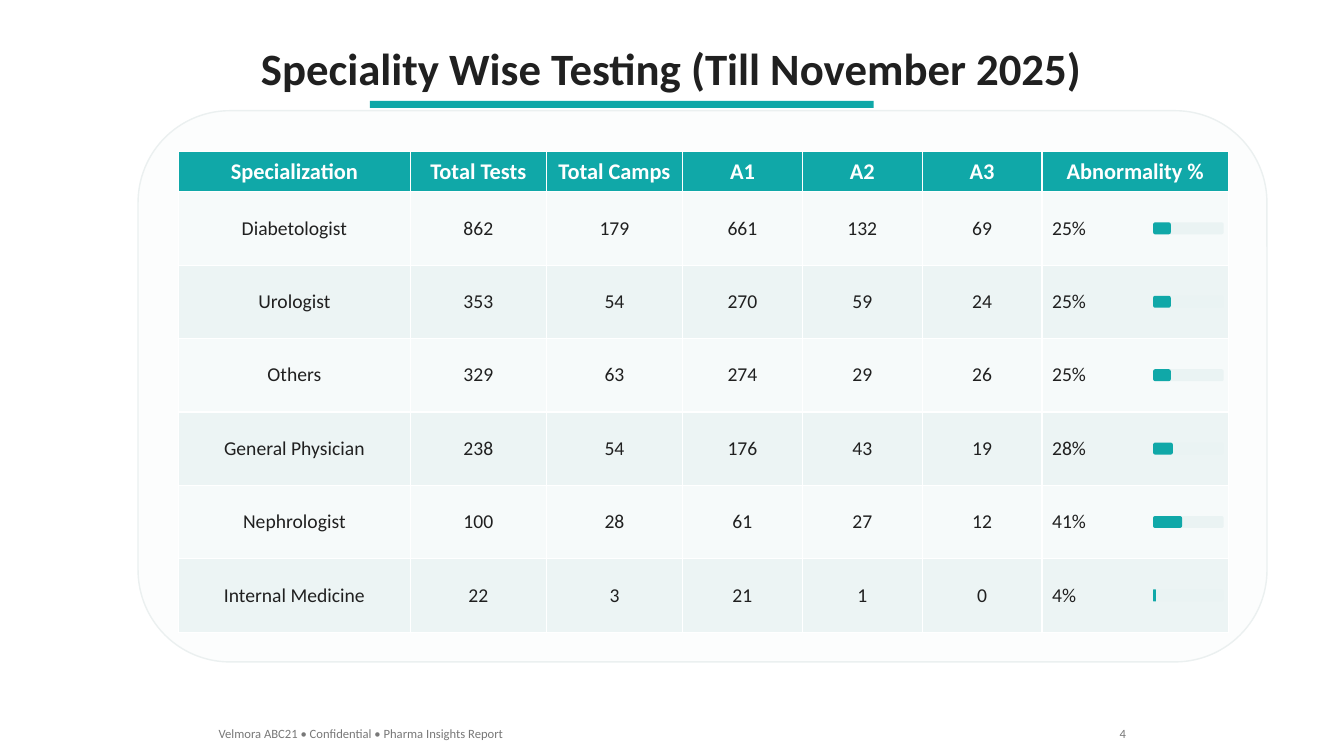
from pptx import Presentation
from pptx.dml.color import RGBColor
from pptx.enum import shapes, text
from pptx.util import Cm, Pt

TEAL = RGBColor(0x10, 0xA8, 0xA8)
INK = RGBColor(0x20, 0x20, 0x20)
GREY = RGBColor(0x78, 0x78, 0x78)
WHITE = RGBColor(0xFF, 0xFF, 0xFF)
PANEL = RGBColor(0xFC, 0xFD, 0xFD)
EDGE = RGBColor(0xEB, 0xF0, 0xF0)
TRACK = RGBColor(0xEA, 0xF3, 0xF3)
BANDS = (RGBColor(0xF6, 0xFA, 0xFA), RGBColor(0xEC, 0xF4, 0xF4))

RECT = shapes.MSO_SHAPE.RECTANGLE
ROUND = shapes.MSO_SHAPE.ROUNDED_RECTANGLE
LEFT, CENTER, RIGHT = text.PP_ALIGN.LEFT, text.PP_ALIGN.CENTER, text.PP_ALIGN.RIGHT
MIDDLE = text.MSO_ANCHOR.MIDDLE

HEADS = ("Specialization", "Total Tests", "Total Camps", "A1", "A2", "A3", "Abnormality %")
ROWS = (
    ("Diabetologist", 862, 179, 661, 132, 69, 25),
    ("Urologist", 353, 54, 270, 59, 24, 25),
    ("Others", 329, 63, 274, 29, 26, 25),
    ("General Physician", 238, 54, 176, 43, 19, 28),
    ("Nephrologist", 100, 28, 61, 27, 12, 41),
    ("Internal Medicine", 22, 3, 21, 1, 0, 4),
)
WIDTHS = (5.84, 3.43, 3.43, 3.02, 3.02, 3.02, 4.7)
TOP, HEAD_H, ROW_H = 3.81, 1.02, 1.85
BAR_X, BAR_W, BAR_H = 29.06, 1.78, 0.3


class Page:
    """Holds the font and the slide being filled."""

    def __init__(self, slide, font):
        self.slide = slide
        self.font = font

    def style(self, frame, words, size, color, align=LEFT, bold=False):
        """Put one styled paragraph into a text frame."""
        frame.text = words
        para = frame.paragraphs[0]
        para.alignment = align
        para.font.name = self.font
        para.font.size = Pt(size)
        para.font.bold = bold
        para.font.color.rgb = color

    def title(self, words, x, y, w, h):
        box = self.slide.shapes.title
        box.left, box.top, box.width, box.height = Cm(x), Cm(y), Cm(w), Cm(h)
        frame = box.text_frame
        frame.word_wrap = False
        frame.auto_size = text.MSO_AUTO_SIZE.NONE
        frame.vertical_anchor = MIDDLE
        self.style(frame, words, 32, INK, CENTER, True)

    def label(self, words, x, y, w, h, align=LEFT):
        box = self.slide.shapes.add_textbox(Cm(x), Cm(y), Cm(w), Cm(h))
        box.text_frame.word_wrap = False
        self.style(box.text_frame, words, 9, GREY, align)

    def block(self, kind, x, y, w, h, fill, line=None):
        item = self.slide.shapes.add_shape(kind, Cm(x), Cm(y), Cm(w), Cm(h))
        item.shadow.inherit = False
        item.fill.solid()
        item.fill.fore_color.rgb = fill
        if line is None:
            item.line.fill.background()
        else:
            item.line.color.rgb = line
            item.line.width = Pt(1)

    def cell(self, cell, words, fill, size, color, align, bold=False):
        cell.fill.solid()
        cell.fill.fore_color.rgb = fill
        cell.vertical_anchor = MIDDLE
        self.style(cell.text_frame, words, size, color, align, bold)

    def table(self, x, y):
        high = HEAD_H + ROW_H * len(ROWS)
        grid = self.slide.shapes.add_table(
            len(ROWS) + 1, len(HEADS), Cm(x), Cm(y), Cm(sum(WIDTHS)), Cm(high)).table
        for col, wide in zip(grid.columns, WIDTHS):
            col.width = Cm(wide)
        for i, row in enumerate(grid.rows):
            row.height = Cm(ROW_H if i else HEAD_H)
        for c, head in enumerate(HEADS):
            self.cell(grid.cell(0, c), head, TEAL, 16, WHITE, CENTER, True)
        last = len(HEADS) - 1
        for r, row in enumerate(ROWS):
            for c, value in enumerate(row):
                words = f"{value}%" if c == last else str(value)
                align = LEFT if c == last else CENTER
                self.cell(grid.cell(r + 1, c), words, BANDS[r % 2], 14, INK, align)

    def meter(self, y, share):
        """Draw a pale track with its filled part on top."""
        self.block(ROUND, BAR_X, y, BAR_W, BAR_H, TRACK)
        self.block(ROUND, BAR_X, y, BAR_W * share, BAR_H, TEAL)


def main():
    deck = Presentation()
    deck.slide_width, deck.slide_height = Cm(33.87), Cm(19.05)
    page = Page(deck.slides.add_slide(deck.slide_layouts[5]), "Calibri")
    page.title("Speciality Wise Testing (Till November 2025)", 6.22, 0.89, 21.41, 1.63)
    page.block(RECT, 9.32, 2.54, 12.7, 0.18, TEAL)
    page.block(ROUND, 3.48, 2.79, 28.45, 13.89, PANEL, EDGE)
    page.table(4.5, TOP)
    for r, row in enumerate(ROWS):
        mid = TOP + HEAD_H + ROW_H * (r + 0.5)
        page.meter(mid - BAR_H / 2, row[-1] / 100)
    page.label("Velmora ABC21 • Confidential • Pharma Insights Report", 5.26, 18.16, 7.75, 0.64)
    page.label("4", 27.94, 18.16, 0.69, 0.64, RIGHT)
    deck.save("out.pptx")


if __name__ == "__main__":
    main()
